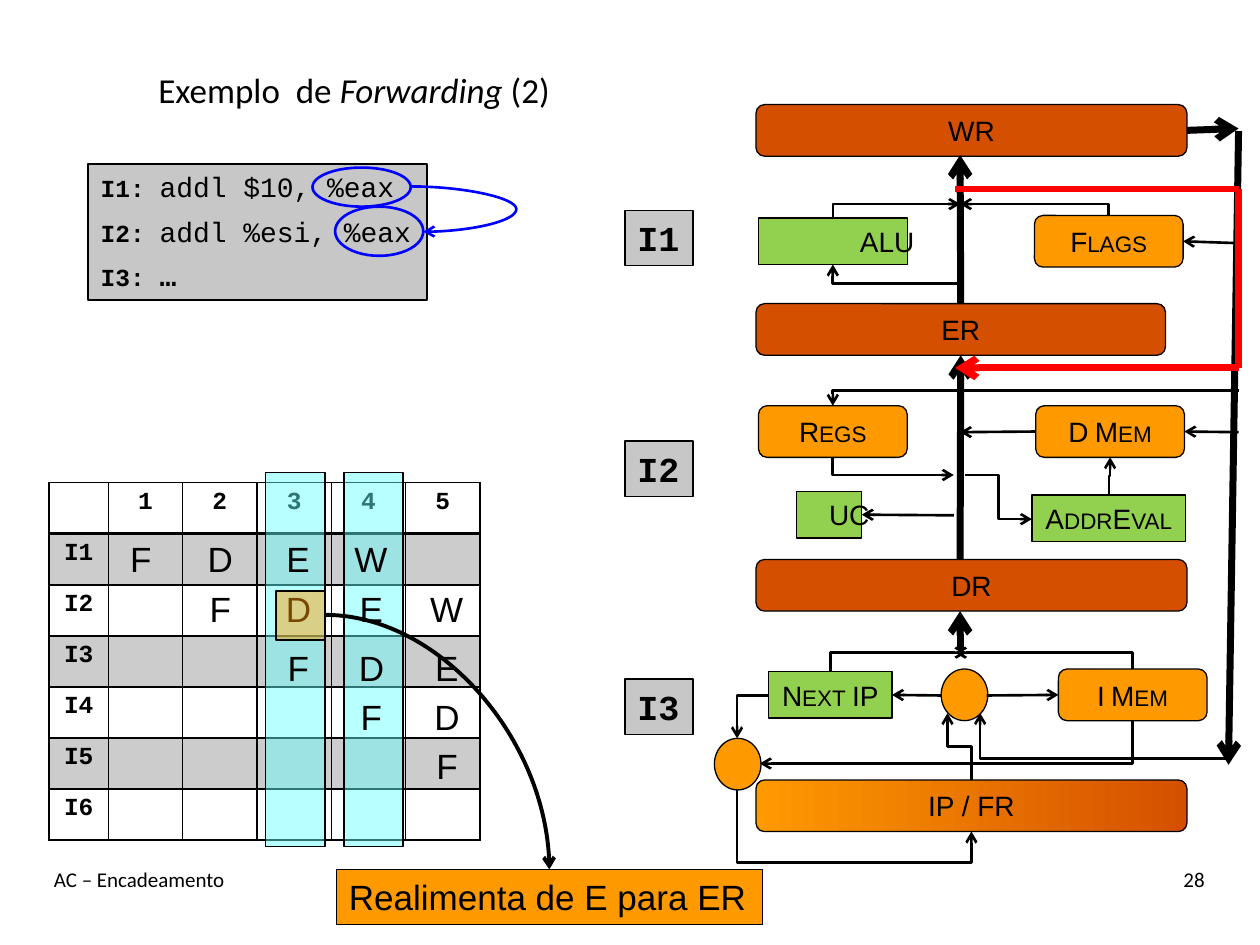
from lxml import etree
from pptx import Presentation
from pptx.dml.color import RGBColor
from pptx.enum import shapes as sh, text as tx
from pptx.oxml.ns import qn
from pptx.util import Inches, Pt

BLACK = RGBColor(0, 0, 0)
GREY = RGBColor(0xC7, 0xC7, 0xC7)
BAND = RGBColor(0xCC, 0xCC, 0xCC)
CYAN = RGBColor(0x66, 0xFF, 0xFF)
ORANGE = RGBColor(0xFF, 0x99, 0x00)
RUST = RGBColor(0xD4, 0x50, 0x00)
GREEN = RGBColor(0x92, 0xD0, 0x50)
BLUE = RGBColor(0, 0, 0xFF)
RED = RGBColor(0xFF, 0, 0)

RECT = sh.MSO_SHAPE.RECTANGLE
ROUND = sh.MSO_SHAPE.ROUNDED_RECTANGLE
OVAL = sh.MSO_SHAPE.OVAL
LEFT, CENTER, RIGHT = tx.PP_ALIGN.LEFT, tx.PP_ALIGN.CENTER, tx.PP_ALIGN.RIGHT
TOP, MIDDLE = tx.MSO_ANCHOR.TOP, tx.MSO_ANCHOR.MIDDLE
ARIAL, CALIBRI, COURIER = "Arial", "Calibri", "Courier New"
MIDLINE = 7.62  # x of the main data path


def add_run(paragraph, content, size=16, font=ARIAL, bold=False, italic=False, small_caps=False):
    run = paragraph.add_run()
    run.text = content
    run.font.size, run.font.name = Pt(size), font
    run.font.bold, run.font.italic = bold, italic
    run.font.color.rgb = BLACK
    if small_caps:
        run.font._element.set("cap", "small")


def write(shape, content, align=LEFT, anchor=TOP, wrap=False, **style):
    frame = shape.text_frame
    frame.word_wrap, frame.vertical_anchor = wrap, anchor
    frame.paragraphs[0].alignment = align
    add_run(frame.paragraphs[0], content, **style)


def add_label(slide, box, content, **style):
    write(slide.shapes.add_textbox(*map(Inches, box)), content, **style)


def add_block(slide, kind, box, fill=None, line=BLACK, weight=0.75, opacity=None):
    block = slide.shapes.add_shape(kind, *map(Inches, box))
    block.shadow.inherit = False
    block.line.color.rgb, block.line.width = line, Pt(weight)
    if fill is None:
        block.fill.background()
        return block
    block.fill.solid()
    block.fill.fore_color.rgb = fill
    if opacity:
        color = block._element.spPr.find(qn("a:solidFill"))[0]
        etree.SubElement(color, qn("a:alpha")).set("val", str(opacity * 1000))
    return block


def add_unit(slide, kind, box, content, fill, **style):
    """Block of the data path, its name centred and with slim side margins."""
    unit = add_block(slide, kind, box, fill)
    unit.text_frame.margin_left = unit.text_frame.margin_right = Inches(0.03)
    write(unit, content, align=CENTER, anchor=MIDDLE, wrap=True, **style)
    return unit


def finish_wire(wire, color, weight, arrow):
    wire.line.color.rgb, wire.line.width = color, Pt(weight)
    if arrow:
        etree.SubElement(wire.line._get_or_add_ln(), qn("a:tailEnd")).set("type", "arrow")
    etree.SubElement(wire._element.spPr, qn("a:effectLst"))


def add_wire(slide, start, end, weight=1.5, color=BLACK, arrow=True, source=None, target=None):
    """Straight line; source and target are (shape, side) pairs to join."""
    wire = slide.shapes.add_connector(sh.MSO_CONNECTOR.STRAIGHT, *map(Inches, start + end))
    if source:
        wire.begin_connect(*source)
    if target:
        wire.end_connect(*target)
    finish_wire(wire, color, weight, arrow)


def add_bend(slide, preset, start, end, vertical=False, adjust=None, color=BLACK, weight=1.5):
    """Elbow or curve; vertical means that it leaves its start up or down."""
    (x1, y1), (x2, y2) = start, end
    wire = slide.shapes.add_connector(sh.MSO_CONNECTOR.ELBOW, *map(Inches, start + end))
    if vertical:
        width, height = abs(y2 - y1), abs(x2 - x1)
        wire.left, wire.top = Inches((x1 + x2 - width) / 2), Inches((y1 + y2 - height) / 2)
        wire.width, wire.height = Inches(width), Inches(height)
        xfrm = wire._element.spPr.find(qn("a:xfrm"))
        xfrm.set("rot", "5400000")
        xfrm.set("flipH", str(int(y2 < y1)))
        xfrm.set("flipV", str(int(x2 > x1)))
    geometry = wire._element.spPr.find(qn("a:prstGeom"))
    geometry.set("prst", preset)
    if adjust:
        guide = etree.SubElement(geometry.find(qn("a:avLst")), qn("a:gd"))
        guide.set("name", "adj1")
        guide.set("fmla", f"val {round(adjust * 100000)}")
    finish_wire(wire, color, weight, True)


def border_cell(cell, bottom):
    properties = cell._tc.get_or_add_tcPr()
    for index, (side, weight) in enumerate(zip("LRTB", (1, 1, 1, bottom))):
        edge = etree.Element(qn(f"a:ln{side}"), w=str(Pt(weight)))
        fill = etree.SubElement(edge, qn("a:solidFill"))
        etree.SubElement(fill, qn("a:srgbClr")).set("val", str(BLACK))
        properties.insert(index, edge)


def add_pipeline(slide):
    rows, cols = 7, 6
    frame = slide.shapes.add_table(rows, cols, *map(Inches, (0.39, 3.83, 3.42, 2.84)))
    table = frame.table
    table.first_row = table.horz_banding = False
    for c in range(cols):
        table.columns[c].width = Inches(0.59 if c else 0.47)
    for r in range(rows):
        table.rows[r].height = Inches(2.84 / rows)
        for c in range(cols):
            cell = table.cell(r, c)
            if r % 2:
                cell.fill.solid()
                cell.fill.fore_color.rgb = BAND
            else:
                cell.fill.background()
            border_cell(cell, 1 if r else 2)
            if (r == 0) != (c == 0):
                paragraph = cell.text_frame.paragraphs[0]
                paragraph.alignment = CENTER
                add_run(paragraph, f"I{r}" if r else str(c), size=14, font=COURIER, bold=True)
    for left in (2.73, 2.11):
        add_block(slide, RECT, (left, 3.75, 0.47, 2.97), CYAN, opacity=46)
    centers = (1.12, 1.75, 2.37, 2.95, 3.55)
    tops = (4.22, 4.61, 5.08, 5.47, 5.86)
    for i, top in enumerate(tops):
        for center, (stage, width) in zip(centers[i:], zip("FDEW", (0.37, 0.4, 0.39, 0.47))):
            add_label(slide, (center - width / 2, top, width, 0.44), stage, size=20)


def add_code(slide):
    listing = add_block(slide, RECT, (0.7, 1.3, 2.69, 1.08), GREY, weight=1.25)
    frame = listing.text_frame
    frame.word_wrap, frame.vertical_anchor = False, TOP
    for i, code in enumerate(("addl $10, %eax", "addl %esi, %eax", "…")):
        line = frame.add_paragraph() if i else frame.paragraphs[0]
        line.alignment, line.space_after = LEFT, Pt(6)
        add_run(line, f"I{i + 1}: ", size=14, font=COURIER, bold=True)
        add_run(line, code, font=COURIER, bold=code == "…")
    for i, top in enumerate((1.67, 3.5, 5.39)):
        tag = add_block(slide, RECT, (4.96, top, 0.54, 0.44), GREY)
        write(tag, f"I{i + 1}", size=20, font=COURIER, bold=True)
    for box in ((2.48, 1.33, 0.78, 0.31), (2.66, 1.64, 0.7, 0.39)):
        add_block(slide, OVAL, box, line=BLUE, weight=1.5)
    add_bend(slide, "curvedConnector3", (3.26, 1.48), (3.36, 1.84), adjust=8.387, color=BLUE)


def add_callout(slide):
    add_block(slide, RECT, (2.19, 4.69, 0.39, 0.39), ORANGE, weight=1.5, opacity=47)
    note = add_block(slide, RECT, (2.67, 6.9, 3.38, 0.44), ORANGE)
    write(note, "Realimenta de E para ER", size=20)
    add_bend(slide, "curvedConnector2", (2.58, 4.88), (4.36, 6.9), weight=2.25)


def add_datapath(slide):
    units = {}
    for name, kind, box, fill in (
            ("I Mem", ROUND, (8.4, 5.31, 1.18, 0.41), ORANGE),
            ("Next IP", RECT, (6.1, 5.33, 0.98, 0.37), GREEN),
            ("UC", RECT, (6.32, 3.9, 0.52, 0.37), GREEN),
            ("D Mem", ROUND, (8.22, 3.22, 1.18, 0.41), ORANGE),
            ("Regs", ROUND, (6.02, 3.22, 1.18, 0.41), ORANGE),
            ("ALU", RECT, (6.02, 1.73, 1.18, 0.37), GREEN),
            ("Flags", ROUND, (8.21, 1.71, 1.18, 0.41), ORANGE),
            ("AddrEval", RECT, (8.19, 3.93, 1.22, 0.37), GREEN)):
        units[name] = add_unit(slide, kind, box, name, fill, small_caps=True)
    units["ALU"].text_frame.margin_left = Inches(0.46)
    for name, top, width in (("WR", 0.83, 3.42), ("ER", 2.41, 3.25),
                             ("DR", 4.44, 3.42), ("IP / FR", 6.19, 3.42)):
        units[name] = add_unit(slide, ROUND, (6, top, width, 0.41), name, RUST)
    fetch = units["IP / FR"].fill
    fetch.gradient()
    fetch.gradient_angle = 0
    for stop, color in zip(fetch.gradient_stops, (ORANGE, RUST)):
        stop.color.rgb = color
    for left, top in ((7.47, 5.31), (5.67, 5.86)):
        add_block(slide, OVAL, (left, top, 0.37, 0.41), ORANGE)

    add_wire(slide, (MIDLINE, 5.16), (MIDLINE, 4.85), 4)
    add_wire(slide, (MIDLINE, 4.44), (MIDLINE, 2.82), 4, target=(units["ER"], 2))
    add_wire(slide, (MIDLINE, 2.41), (MIDLINE, 1.23), 4, source=(units["ER"], 0))
    add_wire(slide, (9.42, 1.04), (9.83, 1.02), 4, source=(units["WR"], 3))
    add_wire(slide, (9.83, 1.04), (9.75, 6.07), 4)
    for start, end, name, side in (
            ((9.83, 1.93), (9.39, 1.92), "Flags", 3), ((9.83, 3.43), (9.4, 3.42), "D Mem", 3),
            ((7.57, 4.09), (6.84, 4.09), "UC", 3), ((7.47, 5.52), (7.08, 5.52), "Next IP", 3),
            ((7.83, 5.52), (8.4, 5.52), "I Mem", 1)):
        add_wire(slide, start, end, target=(units[name], side))
    add_wire(slide, (8.22, 3.43), (MIDLINE, 3.43), source=(units["D Mem"], 1))

    for start, end in (((MIDLINE, 2.25), (6.61, 2.1)), ((9.83, 3.1), (6.61, 3.22)),
                       ((9.75, 6.02), (7.78, 5.66)), ((6.1, 5.52), (5.85, 5.86))):
        add_bend(slide, "bentConnector2", start, end)
    for start, end in (((6.59, 5.33), (7.67, 5.18)), ((8.99, 5.31), (7.58, 5.18)),
                       ((6.61, 3.63), (7.57, 3.77)), ((6.61, 1.73), (MIDLINE, 1.62)),
                       ((8.8, 1.71), (MIDLINE, 1.62)), ((8.99, 5.72), (6.03, 6.06))):
        add_bend(slide, "bentConnector2", start, end, vertical=True)
    add_bend(slide, "bentConnector3", (7.66, 3.77), (8.19, 4.12))
    for start, end, adjust in (((7.71, 6.19), (7.52, 5.66), 0.5), ((8.8, 3.93), (8.81, 3.63), 0.5),
                               ((5.85, 6.27), (7.71, 6.6), 1.75)):
        add_bend(slide, "bentConnector3", start, end, vertical=True, adjust=adjust)


def add_forwarding(slide):
    corners = ((7.58, 1.5), (9.83, 1.5), (9.83, 2.92), (7.58, 2.92))
    for i in range(3):
        add_wire(slide, corners[i], corners[i + 1], 4, RED, arrow=i == 2)


def add_title(slide):
    title = slide.shapes.title
    title.left, title.top, title.width, title.height = map(Inches, (0.23, 0.25, 5.16, 0.92))
    write(title, "Exemplo  de ", align=CENTER, anchor=MIDDLE, wrap=True, size=20, font=CALIBRI)
    heading = title.text_frame.paragraphs[0]
    add_run(heading, "Forwarding ", size=20, font=CALIBRI, italic=True)
    add_run(heading, "(2)", size=20, font=CALIBRI)


def main():
    deck = Presentation()
    deck.slide_width, deck.slide_height = Inches(10), Inches(7.5)
    slide = deck.slides.add_slide(deck.slide_layouts[5])
    add_title(slide)
    add_pipeline(slide)
    add_label(slide, (0.33, 6.83, 7, 0.5), "AC – Encadeamento", wrap=True, size=12, font=CALIBRI)
    add_label(slide, (8.33, 6.83, 1.33, 0.5), "28", align=RIGHT, wrap=True, size=12, font=CALIBRI)
    add_code(slide)
    add_callout(slide)
    add_datapath(slide)
    add_forwarding(slide)
    deck.save("out.pptx")


if __name__ == "__main__":
    main()
